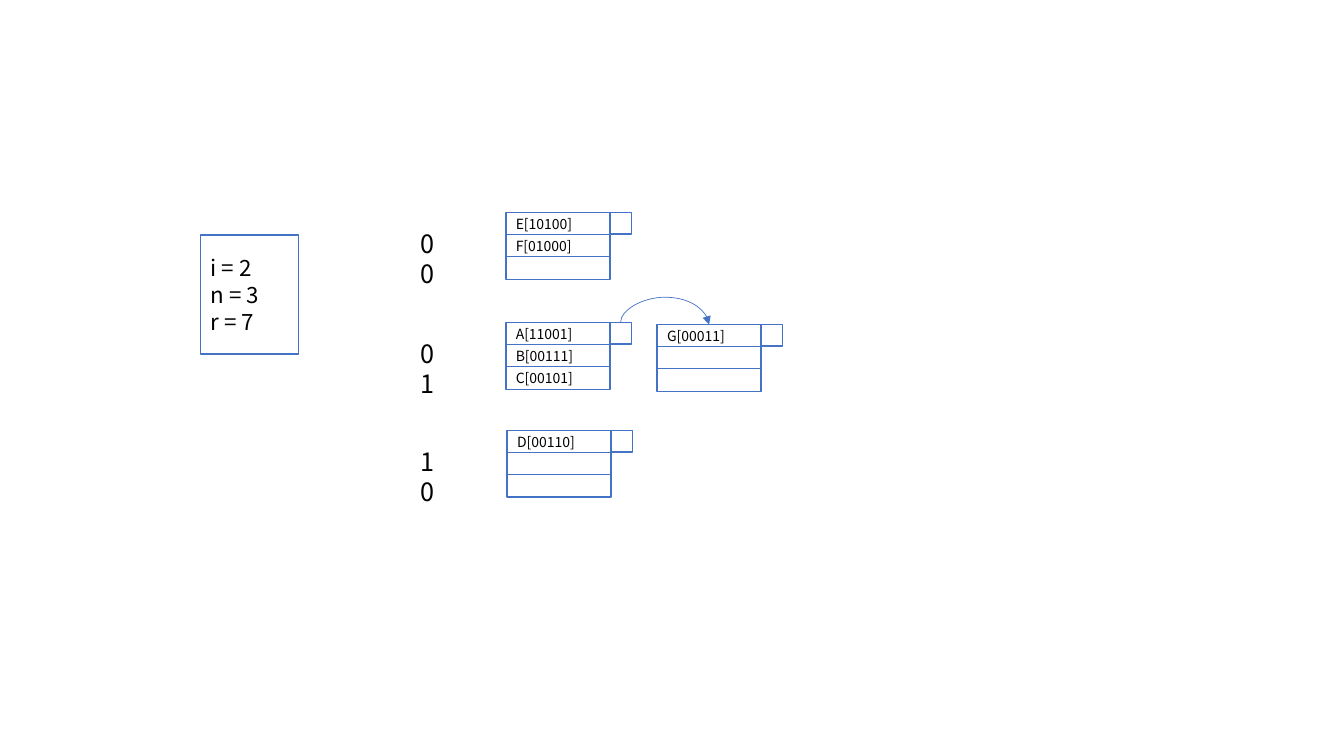
from lxml.etree import SubElement
from pptx import Presentation
from pptx.dml.color import RGBColor
from pptx.enum.shapes import MSO_CONNECTOR, MSO_SHAPE
from pptx.enum.text import MSO_ANCHOR, PP_ALIGN
from pptx.oxml.ns import qn
from pptx.util import Cm, Pt

BLUE = RGBColor(0x44, 0x72, 0xC4)
WHITE = RGBColor(0xFF, 0xFF, 0xFF)
BLACK = RGBColor(0, 0, 0)
BOX_FONT = "Noto Sans CJK TC"
LABEL_FONT = "Noto Sans CJK SC"

# Bucket geometry in centimetres
ROW_WIDTH, ROW_HEIGHT, ROW_PITCH = 2.62, 0.58, 0.55
POINTER_SIZE = 0.54
LABEL_LEFT, LABEL_DROP = 10.36, 0.27


def write_lines(shape, lines, size, font):
    frame = shape.text_frame
    frame.word_wrap = True
    for index, line in enumerate(lines):
        paragraph = frame.paragraphs[0] if index == 0 else frame.add_paragraph()
        paragraph.alignment = PP_ALIGN.LEFT
        paragraph.line_spacing = Pt(size * 1.2)
        run = paragraph.add_run()
        run.text = line
        run.font.size = Pt(size)
        run.font.name = font
        run.font.color.rgb = BLACK


def add_box(slide, left, top, width, height, lines=(), size=10):
    shape = slide.shapes.add_shape(
        MSO_SHAPE.RECTANGLE, Cm(left), Cm(top), Cm(width), Cm(height))
    shape.shadow.inherit = False
    shape.fill.solid()
    shape.fill.fore_color.rgb = WHITE
    shape.line.color.rgb = BLUE
    shape.line.width = Pt(1)
    shape.text_frame.vertical_anchor = MSO_ANCHOR.MIDDLE
    write_lines(shape, lines, size, BOX_FONT)


def add_bucket(slide, left, top, records):
    """Three record rows with an overflow pointer cell beside the first."""
    for index, record in enumerate(records):
        add_box(slide, left, top + index * ROW_PITCH, ROW_WIDTH, ROW_HEIGHT,
                [record] if record else [])
    add_box(slide, left + ROW_WIDTH, top, POINTER_SIZE, POINTER_SIZE)


def add_label(slide, top, text):
    """Bucket address, in a box so narrow that its digits stack."""
    label = slide.shapes.add_textbox(
        Cm(LABEL_LEFT), Cm(top), Cm(1.18), Cm(1.02))
    write_lines(label, [text], 18, LABEL_FONT)


def add_overflow_arrow(slide, start, end, bulge):
    """Curve that leaves start upwards and comes down on end."""
    span, drop = end[0] - start[0], end[1] - start[1]
    middle_x, middle_y = (start[0] + end[0]) / 2, (start[1] + end[1]) / 2
    arrow = slide.shapes.add_connector(MSO_CONNECTOR.CURVE, 0, 0, 0, 0)
    # The frame is turned a quarter, so its width is the vertical drop
    arrow.left, arrow.top = Cm(middle_x - drop / 2), Cm(middle_y - span / 2)
    arrow.width, arrow.height = Cm(drop), Cm(span)
    arrow.line.color.rgb = BLUE
    arrow.line.width = Pt(0.5)

    properties = arrow._element.spPr
    frame = properties.find(qn("a:xfrm"))
    frame.set("rot", "16200000")
    frame.set("flipH", "1")
    adjustments = properties.find(qn("a:prstGeom")).find(qn("a:avLst"))
    SubElement(adjustments, qn("a:gd"), name="adj1",
               fmla=f"val {round(-bulge / drop * 100000)}")
    SubElement(properties.find(qn("a:ln")), qn("a:tailEnd"), type="triangle")
    SubElement(properties, qn("a:effectLst"))


def main():
    presentation = Presentation()
    presentation.slide_width, presentation.slide_height = Cm(33.87), Cm(19.05)
    slide = presentation.slides.add_slide(presentation.slide_layouts[6])

    # Hash table parameters
    add_box(slide, 5.06, 5.92, 2.47, 3, ["i = 2", "n = 3", "r = 7"], 16)

    # Primary buckets with their addresses
    buckets = [
        ("00", 12.75, 5.36, ["E[10100]", "F[01000]", ""]),
        ("01", 12.75, 8.13, ["A[11001]", "B[00111]", "C[00101]"]),
        ("10", 12.78, 10.85, ["D[00110]", "", ""]),
    ]
    for address, left, top, records in buckets:
        add_bucket(slide, left, top, records)
        add_label(slide, top + LABEL_DROP, address)

    # Overflow bucket of address 01
    overflow_left, overflow_top = 16.56, 8.18
    add_bucket(slide, overflow_left, overflow_top, ["G[00011]", "", ""])
    _, left, top, _ = buckets[1]
    add_overflow_arrow(slide, (left + ROW_WIDTH + POINTER_SIZE / 2, top),
                       (overflow_left + ROW_WIDTH / 2, overflow_top), 0.64)

    presentation.save("out.pptx")


if __name__ == "__main__":
    main()
